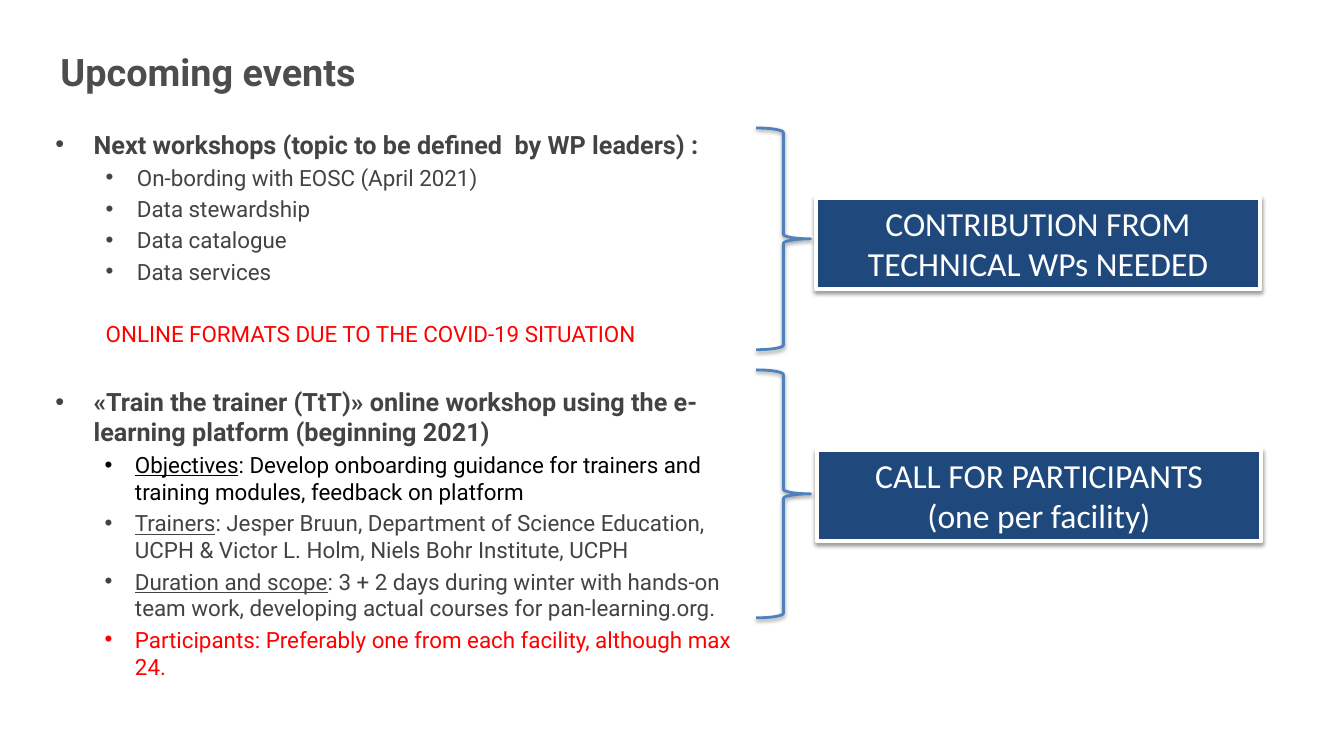
from pptx import Presentation
from pptx.dml.color import RGBColor
from pptx.enum.shapes import MSO_SHAPE as SHAPE
from pptx.enum.text import MSO_ANCHOR as ANCHOR, MSO_AUTO_SIZE as FIT, PP_ALIGN as ALIGN
from pptx.oxml.ns import qn
from pptx.util import Inches, Pt
from lxml.etree import SubElement

HUES = {"title": "4C4D4F", "text": "434342", "black": "000000", "red": "FF0000",
        "navy": "1F497D", "blue": "4F81BD", "white": "FFFFFF"}


def style(font, size, hue, name="Roboto", bold=False):
    font.name, font.size, font.bold = name, Pt(size), bold
    font.color.rgb = RGBColor.from_string(HUES[hue])


def outline(shape, hue, width):
    """Set the line, then a soft shadow just below the shape."""
    shape.line.color.rgb = RGBColor.from_string(HUES[hue])
    shape.line.width = Pt(width)
    shape.shadow.inherit = False
    effects = shape._element.spPr.find(qn("a:effectLst"))
    shade = SubElement(effects, qn("a:outerShdw"), blurRad=str(Pt(3.1)),
                       dist=str(Pt(1.6)), dir="5400000", rotWithShape="0")
    tint = SubElement(shade, qn("a:srgbClr"), val=HUES["black"])
    SubElement(tint, qn("a:alpha"), val="38000")


deck = Presentation()
deck.slide_width, deck.slide_height = Inches(13.33), Inches(7.5)
slide = deck.slides.add_slide(deck.slide_layouts[5])
shapes = slide.shapes

# Title
title = shapes.title
title.left, title.top, title.width, title.height = map(Inches, (0.5, 0.42, 12, 0.58))
title.text_frame.text = "Upcoming events"
title.text_frame.vertical_anchor = ANCHOR.MIDDLE
head = title.text_frame.paragraphs[0]
head.alignment = ALIGN.LEFT
style(head.font, 27, "title", bold=True)

# Event list: kind, colour, space before, underlined lead, text
KINDS = {"head": (0.38, 0.38, 18), "topic": (0.81, 0.31, 16),
         "note": (0.5, 0, 16), "fact": (0.79, 0.3, 16)}
EVENTS = [
    ("head", "text", 0, "", "Next workshops (topic to be defined  by WP leaders) :"),
    ("topic", "text", 3.2, "", "On-bording with EOSC (April 2021)"),
    ("topic", "text", 3.2, "", "Data stewardship"),
    ("topic", "text", 3.2, "", "Data catalogue"),
    ("topic", "text", 3.2, "", "Data services"),
    ("note", "red", 25.2, "", "ONLINE FORMATS DUE TO THE COVID-19 SITUATION"),
    ("head", "text", 28.3, "",
     "«Train the trainer (TtT)» online workshop using the e-learning platform (beginning 2021)"),
    ("fact", "black", 3.2, "Objectives",
     ": Develop onboarding guidance for trainers and training modules, feedback on platform"),
    ("fact", "text", 3.2, "Trainers",
     ": Jesper Bruun, Department of Science Education, UCPH & Victor L. Holm, "
     "Niels Bohr Institute, UCPH"),
    ("fact", "text", 3.2, "Duration and scope",
     ": 3 + 2 days during winter with hands-on team work, "
     "developing actual courses for pan-learning.org."),
    ("fact", "red", 3.2, "",
     "Participants: Preferably one from each facility, although max 24."),
]
body = shapes.add_textbox(Inches(0.45), Inches(1.23), Inches(7.01), Inches(5.67)).text_frame
body.word_wrap = True
for i, (kind, hue, gap, lead, text) in enumerate(EVENTS):
    para = body.add_paragraph() if i else body.paragraphs[0]
    left, hang, size = KINDS[kind]
    para.level = 0 if kind == "head" else 1
    para.space_before = Pt(gap)
    props = para._p.get_or_add_pPr()
    props.set("marL", str(Inches(left)))
    props.set("indent", str(-Inches(hang)))
    if hang:
        SubElement(SubElement(props, qn("a:buClr")), qn("a:srgbClr"), val=HUES[hue])
        SubElement(props, qn("a:buFont"), typeface="Arial")
        SubElement(props, qn("a:buChar"), char="•")
    style(para.font, size, hue, bold=kind == "head")
    if lead:
        run = para.add_run()
        run.text = lead
        run.font.underline = True
    para.add_run().text = text

# Calls to action
CALLS = [(8.09, 1.96, ["CONTRIBUTION FROM TECHNICAL WPs NEEDED"]),
         (8.1, 4.46, ["CALL FOR PARTICIPANTS", "(one per facility)"])]
for left, top, lines in CALLS:
    box = shapes.add_shape(SHAPE.RECTANGLE, Inches(left), Inches(top),
                           Inches(4.41), Inches(0.91))
    box.fill.solid()
    box.fill.fore_color.rgb = RGBColor.from_string(HUES["navy"])
    outline(box, "white", 3)
    frame = box.text_frame
    frame.word_wrap = True
    frame.auto_size = FIT.SHAPE_TO_FIT_TEXT
    frame.vertical_anchor = ANCHOR.TOP
    frame.text = "\n".join(lines)
    for para in frame.paragraphs:
        para.alignment = ALIGN.CENTER
        style(para.font, 24, "white", "Calibri")

# Braces
for top, height in [(1.27, 2.2), (3.67, 2.46)]:
    brace = shapes.add_shape(SHAPE.RIGHT_BRACE, Inches(7.5), Inches(top),
                             Inches(0.54), Inches(height))
    brace.fill.background()
    outline(brace, "blue", 2)

deck.save("out.pptx")
